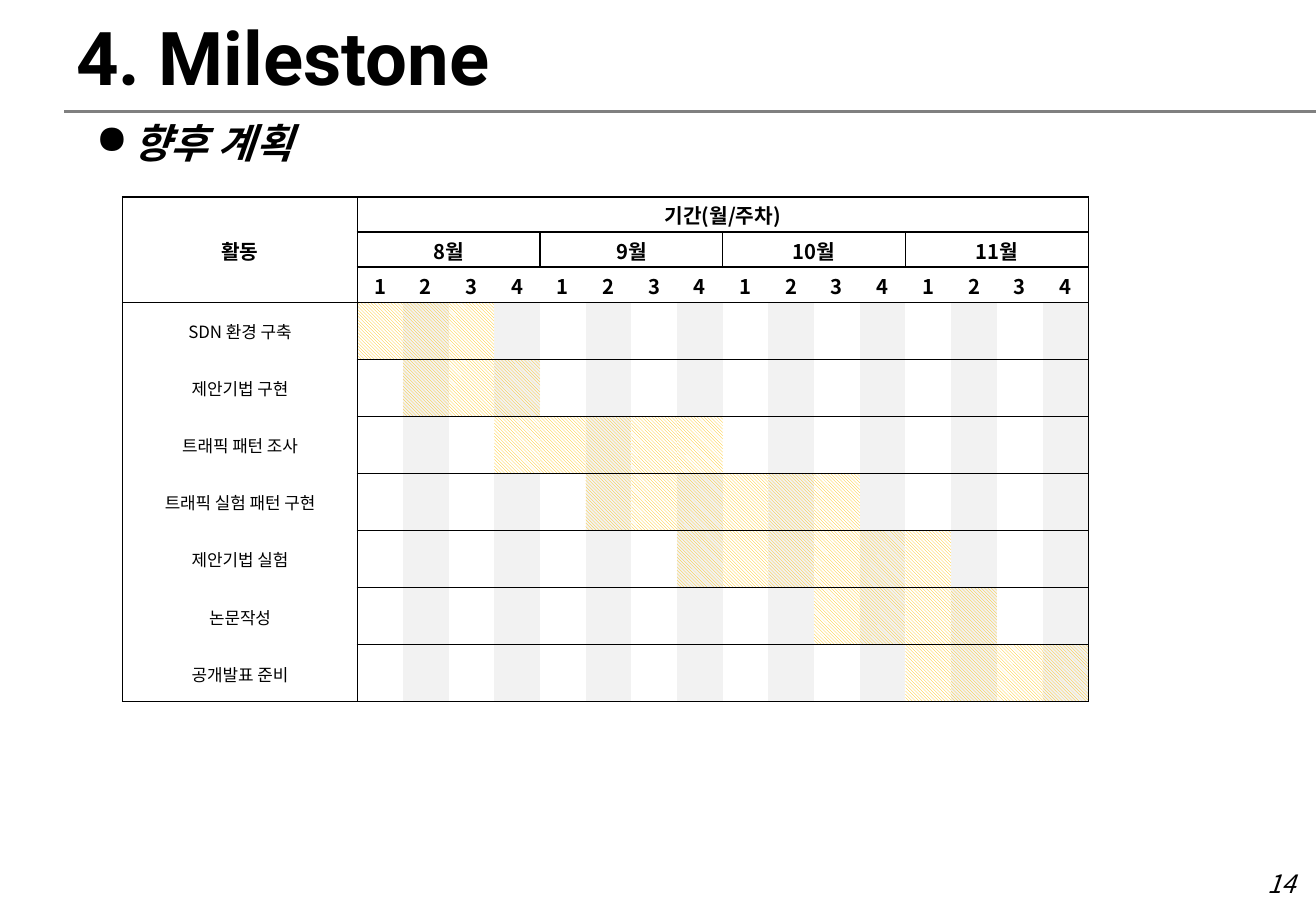
import pptx
import pptx.util
import pptx.dml.color
import pptx.enum.dml
import pptx.enum.shapes
import pptx.enum.text
import pptx.oxml
import pptx.oxml.ns

Inches = pptx.util.Inches
ALIGN = pptx.enum.text.PP_ALIGN
MIDDLE = pptx.enum.text.MSO_ANCHOR.MIDDLE
TOP = pptx.enum.text.MSO_ANCHOR.TOP
NOTO = "Noto Sans CJK KR"
BLACK, WHITE, GRAY, GOLD = "000000", "FFFFFF", "F2F2F2", "FFC000"
WEEKS, HEADS = 16, 3
MONTHS = ["8월", "9월", "10월", "11월"]
TASKS = [
    ("SDN 환경 구축", 1, 3),
    ("제안기법 구현", 2, 4),
    ("트래픽 패턴 조사", 4, 8),
    ("트래픽 실험 패턴 구현", 6, 11),
    ("제안기법 실험", 8, 13),
    ("논문작성", 11, 14),
    ("공개발표 준비", 13, 16),
]
PLAIN = {(2, 4), (2, 8)}


def color(code):
    """Turn a hex string into a colour."""
    return pptx.dml.color.RGBColor.from_string(code)


def assign(item, values):
    """Set each named value on an item."""
    for name, value in values.items():
        setattr(item, name, value)


def node(parent, tag, **attrs):
    """Append a DrawingML element to its parent."""
    child = pptx.oxml.ns.qn("a:" + tag)
    child = parent.makeelement(child, attrs)
    parent.append(child)
    return child


def write(frame, text, size, align, face=NOTO, bullet=None, **style):
    """Fill a text frame with one styled paragraph."""
    para = frame.paragraphs[0]
    para.alignment = align
    if bullet:
        props = para._p.get_or_add_pPr()
        assign_xml = {"marL": Inches(0.31), "indent": Inches(-0.31)}
        for name, value in assign_xml.items():
            props.set(name, str(int(value)))
        node(props, "buChar", char=bullet)
    run = para.add_run()
    run.text = text
    assign(run.font, {"size": pptx.util.Pt(size), "name": face, **style})
    run.font.color.rgb = color(BLACK)
    node(run._r.get_or_add_rPr(), "ea", typeface=face)


def label(slide, box, text, size, align, anchor=TOP, side=0.1, **style):
    """Add a text box."""
    frame = slide.shapes.add_textbox(*map(Inches, box)).text_frame
    assign(frame, {
        "word_wrap": True,
        "vertical_anchor": anchor,
        "margin_left": Inches(side),
        "margin_right": Inches(side),
    })
    write(frame, text, size, align, **style)


def rule(slide, left, right, top):
    """Add the gray line under the title."""
    kind = pptx.enum.shapes.MSO_CONNECTOR.STRAIGHT
    ends = map(Inches, (left, top, right, top))
    line = slide.shapes.add_connector(kind, *ends)
    line.line.color.rgb = color("808080")
    line.line.width = pptx.util.Pt(1.5)
    node(line._element.spPr, "effectLst")


def border(cell, sides):
    """Draw the given sides of a cell and clear the rest."""
    props = cell._tc.get_or_add_tcPr()
    for side in "LRTB":
        edge = node(props, "ln" + side, w=str(int(pptx.util.Pt(1))))
        if side in sides:
            node(node(edge, "solidFill"), "srgbClr", val=BLACK)
        else:
            node(edge, "noFill")


def edges(cell, row, col):
    """Choose the sides of a cell that carry a line."""
    if cell.is_merge_origin:
        return "LRTB"
    if col == 0:
        last = HEADS + len(TASKS) - 1
        return "LR" + "T" * (row == HEADS) + "B" * (row in (HEADS - 1, last))
    step = 4 if row == 1 else WEEKS
    return "TB" + "L" * (col % step == 1) + "R" * (col % step == 0)


def paint(cell, row, col):
    """Fill a cell as task bar, week stripe or blank."""
    task = row - HEADS
    stripe = task >= 0 and col > 0 and col % 2 == 0
    back = GRAY if stripe and (task, col) not in PLAIN else WHITE
    if task >= 0 and TASKS[task][1] <= col <= TASKS[task][2]:
        cell.fill.patterned()
        cell.fill.pattern = pptx.enum.dml.MSO_PATTERN.DARK_DOWNWARD_DIAGONAL
        cell.fill.fore_color.rgb = color(GOLD)
        cell.fill.back_color.rgb = color(back)
    elif back == GRAY:
        cell.fill.solid()
        cell.fill.fore_color.rgb = color(back)
    else:
        cell.fill.background()


def words():
    """Map cell places to their text."""
    text = {(0, 0): "활동", (0, 1): "기간(월/주차)"}
    for index, month in enumerate(MONTHS):
        text[1, 1 + 4 * index] = month
    for week in range(WEEKS):
        text[2, week + 1] = str(week % 4 + 1)
    for index, task in enumerate(TASKS):
        text[HEADS + index, 0] = task[0]
    return text


def chart(slide):
    """Add the schedule table."""
    rows, cols = HEADS + len(TASKS), WEEKS + 1
    box = map(Inches, (1.01, 1.62, 7.95, 4.17))
    table = slide.shapes.add_table(rows, cols, *box).table
    assign(table, {"first_row": False, "horz_banding": False})
    for index, col in enumerate(table.columns):
        col.width = Inches((7.95 - 1.93) / WEEKS if index else 1.93)
    for index, row in enumerate(table.rows):
        row.height = Inches(0.29 if index < HEADS else 0.47)
    table.cell(0, 0).merge(table.cell(HEADS - 1, 0))
    table.cell(0, 1).merge(table.cell(0, WEEKS))
    for first in range(1, WEEKS, 4):
        table.cell(1, first).merge(table.cell(1, first + 3))
    text = words()
    for row in range(rows):
        for col in range(cols):
            cell = table.cell(row, col)
            assign(cell, {
                "vertical_anchor": MIDDLE,
                "margin_left": Inches(0.01),
                "margin_right": Inches(0.01),
                "margin_top": Inches(0.01),
                "margin_bottom": 0,
            })
            border(cell, edges(cell, row, col))
            paint(cell, row, col)
            if (row, col) in text:
                head = row < HEADS
                write(cell.text_frame, text[row, col], 12 if head else 10,
                      ALIGN.CENTER, bold=head)


def main():
    """Build the slide and save it."""
    deck = pptx.Presentation()
    assign(deck, {"slide_width": Inches(10.83), "slide_height": Inches(7.5)})
    slide = deck.slides.add_slide(deck.slide_layouts[6])
    rule(slide, 0.53, 10.83, 0.92)
    label(slide, (10.36, 7.1, 0.38, 0.35), "14", 15, ALIGN.CENTER,
          side=0.06, italic=True)
    label(slide, (0.53, 0, 6.46, 0.92), "4. Milestone", 44, ALIGN.LEFT,
          anchor=MIDDLE, face="Roboto", bold=True)
    chart(slide)
    label(slide, (0.69, 0.92, 1.95, 0.5), "향후 계획", 24, ALIGN.LEFT,
          face="Roboto", bullet="●", bold=True, italic=True)
    deck.save("out.pptx")


if __name__ == "__main__":
    main()
